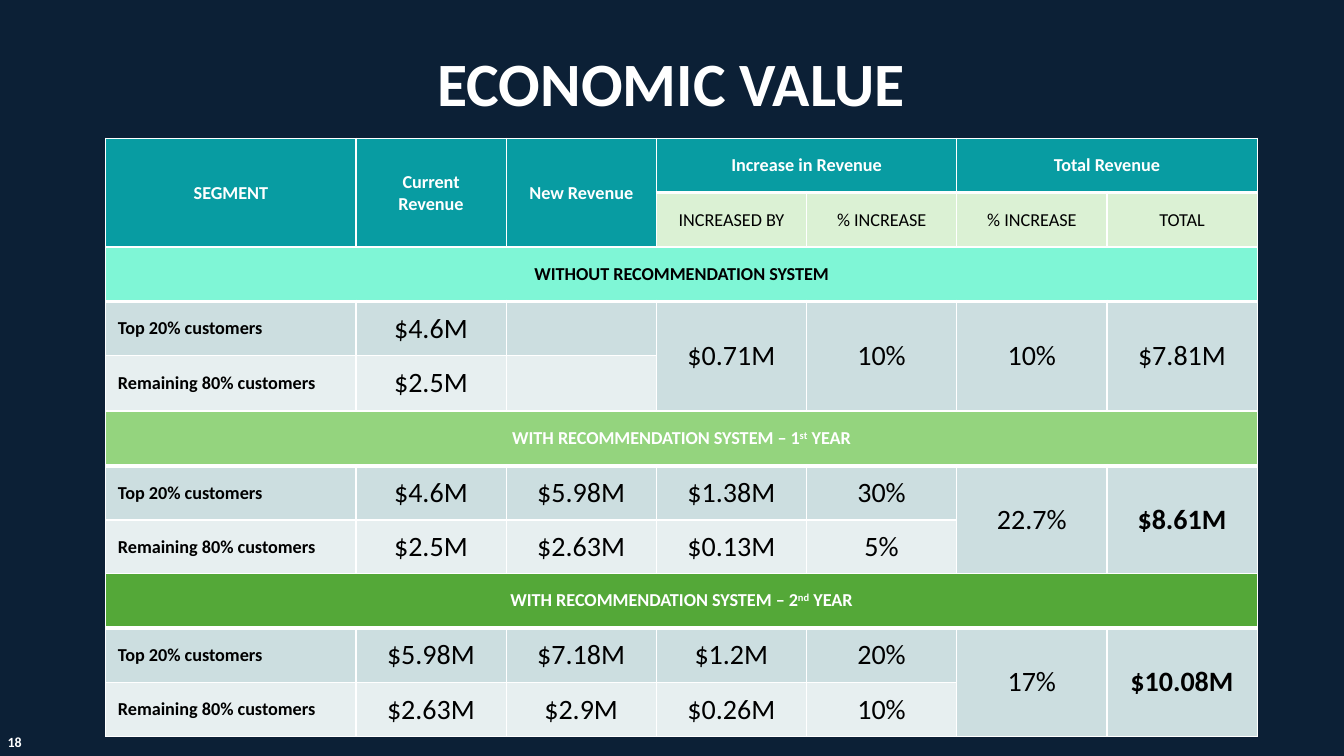
import dataclasses

import lxml.etree
import pptx
import pptx.dml.color
import pptx.enum.text
import pptx.oxml.ns
import pptx.util

ALIGN = pptx.enum.text.PP_ALIGN
MIDDLE = pptx.enum.text.MSO_ANCHOR.MIDDLE
EMU_PER_PX = 9144

WHITE = "FFFFFF"
BLACK = "000000"
NAVY = "0C2036"
TEAL = "089CA2"
PALE_GREEN = "DBF1D4"
BAND_DARK = "CCDEE0"
BAND_LIGHT = "E7EFF0"

LEFT = 105
COLUMNS = [248] + [149] * 6
ROW_HEIGHT = 54
MERGE_LEFT = "<"
MERGE_UP = "^"


def px(length):
    return pptx.util.Emu(length * EMU_PER_PX)


def rgb(hex_color):
    return pptx.dml.color.RGBColor.from_string(hex_color)


@dataclasses.dataclass
class RowStyle:
    fill: str
    color: str = BLACK
    size: int = 13
    bold: bool = False
    rule: int = 1  # width in points of the line below the row
    row_label: bool = False  # first column is a small bold label
    bold_total: bool = False


class Deck:
    def __init__(self, font):
        self.font = font
        self.presentation = pptx.Presentation()
        self.presentation.slide_width = px(1333)
        self.presentation.slide_height = px(750)
        self.slide = None

    def add_slide(self, background):
        self.slide = self.presentation.slides.add_slide(self.presentation.slide_layouts[6])
        self.slide.background.fill.solid()
        self.slide.background.fill.fore_color.rgb = rgb(background)

    def fill_paragraph(self, paragraph, content, size, color, bold, align=ALIGN.CENTER):
        """Content is a string, or a (text, superscript, text) tuple."""
        parts = (content,) if isinstance(content, str) else content
        paragraph.alignment = align
        font = paragraph.font
        font.name, font.size, font.bold = self.font, pptx.util.Pt(size), bold
        font.color.rgb = rgb(color)
        for index, part in enumerate(parts):
            run = paragraph.add_run()
            run.text = part
            if index == 1:
                run.font._element.set("baseline", "30000")

    def text(self, left, top, width, height, content, size, line_spacing=1.0):
        box = self.slide.shapes.add_textbox(px(left), px(top), px(width), px(height))
        frame = box.text_frame
        frame.word_wrap = True
        frame.vertical_anchor = MIDDLE
        frame.paragraphs[0].line_spacing = line_spacing
        self.fill_paragraph(frame.paragraphs[0], content, size, WHITE, True)

    def borders(self, cell, top, bottom):
        properties = cell._tc.get_or_add_tcPr()
        for side, points in (("L", 1), ("R", 1), ("T", top), ("B", bottom)):
            line = lxml.etree.SubElement(properties, pptx.oxml.ns.qn(f"a:ln{side}"),
                                         w=str(pptx.util.Pt(points)))
            fill = lxml.etree.SubElement(line, pptx.oxml.ns.qn("a:solidFill"))
            lxml.etree.SubElement(fill, pptx.oxml.ns.qn("a:srgbClr"), val=WHITE)

    def merge(self, table, rows, r, c):
        """Join the cell with the marked cells to its right or below it."""
        last_row, last_column = r, c
        while last_column + 1 < len(COLUMNS) and rows[r][last_column + 1] == MERGE_LEFT:
            last_column += 1
        while last_row + 1 < len(rows) and rows[last_row + 1][c] == MERGE_UP:
            last_row += 1
        if (last_row, last_column) != (r, c):
            table.cell(r, c).merge(table.cell(last_row, last_column))

    def table(self, top, rows, styles):
        frame = self.slide.shapes.add_table(
            len(rows), len(COLUMNS), px(LEFT), px(top),
            px(sum(COLUMNS)), px(ROW_HEIGHT * len(rows)))
        table = frame.table
        table.first_row = table.horz_banding = False
        for column, width in zip(table.columns, COLUMNS):
            column.width = px(width)
        for r, (values, style) in enumerate(zip(rows, styles)):
            table.rows[r].height = px(ROW_HEIGHT)
            for c, value in enumerate(values):
                cell = table.cell(r, c)
                merged_down = r + 1 < len(rows) and rows[r + 1][c] == MERGE_UP
                joined_up = r == 0 or value == MERGE_UP
                self.borders(cell, 1 if joined_up else styles[r - 1].rule,
                             1 if merged_down else style.rule)
                cell.fill.solid()
                cell.fill.fore_color.rgb = rgb(
                    styles[r - 1].fill if value == MERGE_UP else style.fill)
                cell.margin_left = cell.margin_right = px(12)
                cell.margin_top = cell.margin_bottom = px(6)
                cell.vertical_anchor = MIDDLE
                if value in (MERGE_LEFT, MERGE_UP, ""):
                    continue
                self.merge(table, rows, r, c)
                label = style.row_label and c == 0
                total = style.bold_total and c == len(COLUMNS) - 1
                self.fill_paragraph(cell.text_frame.paragraphs[0], value,
                                    13 if label else style.size, style.color,
                                    style.bold or label or total,
                                    ALIGN.LEFT if label else ALIGN.CENTER)

    def scenario(self, top, banner, fill, color, top_customers, remaining, bold_total):
        rows = [[banner] + [MERGE_LEFT] * 6,
                ["Top 20% customers"] + top_customers,
                ["Remaining 80% customers"] + remaining]
        bands = [RowStyle(band, size=20, row_label=True, bold_total=bold_total)
                 for band in (BAND_DARK, BAND_LIGHT)]
        self.table(top, rows, [RowStyle(fill, color, bold=True, rule=3)] + bands)


def main():
    deck = Deck("Calibri")
    deck.add_slide(NAVY)
    deck.table(137, [
        ["SEGMENT", "Current Revenue", "New Revenue",
         "Increase in Revenue", MERGE_LEFT, "Total Revenue", MERGE_LEFT],
        [MERGE_UP] * 3 + ["INCREASED BY", "% INCREASE", "% INCREASE", "TOTAL"],
    ], [RowStyle(TEAL, WHITE, bold=True, rule=3), RowStyle(PALE_GREEN)])
    deck.text(56, 50, 1220, 72, "ECONOMIC VALUE", 44, 0.9)
    deck.text(-6, 723, 41, 27, "18", 10)

    deck.scenario(
        245, "WITHOUT RECOMMENDATION SYSTEM", "7FF6D6", BLACK,
        ["$4.6M", "", "$0.71M", "10%", "10%", "$7.81M"],
        ["$2.5M", ""] + [MERGE_UP] * 4, False)
    deck.scenario(
        408, ("WITH RECOMMENDATION SYSTEM – 1", "st", " YEAR"), "94D47E", WHITE,
        ["$4.6M", "$5.98M", "$1.38M", "30%", "22.7%", "$8.61M"],
        ["$2.5M", "$2.63M", "$0.13M", "5%"] + [MERGE_UP] * 2, True)
    deck.scenario(
        569, ("WITH RECOMMENDATION SYSTEM – 2", "nd", " YEAR"), "54A838", WHITE,
        ["$5.98M", "$7.18M", "$1.2M", "20%", "17%", "$10.08M"],
        ["$2.63M", "$2.9M", "$0.26M", "10%"] + [MERGE_UP] * 2, True)
    deck.presentation.save("out.pptx")


if __name__ == "__main__":
    main()
